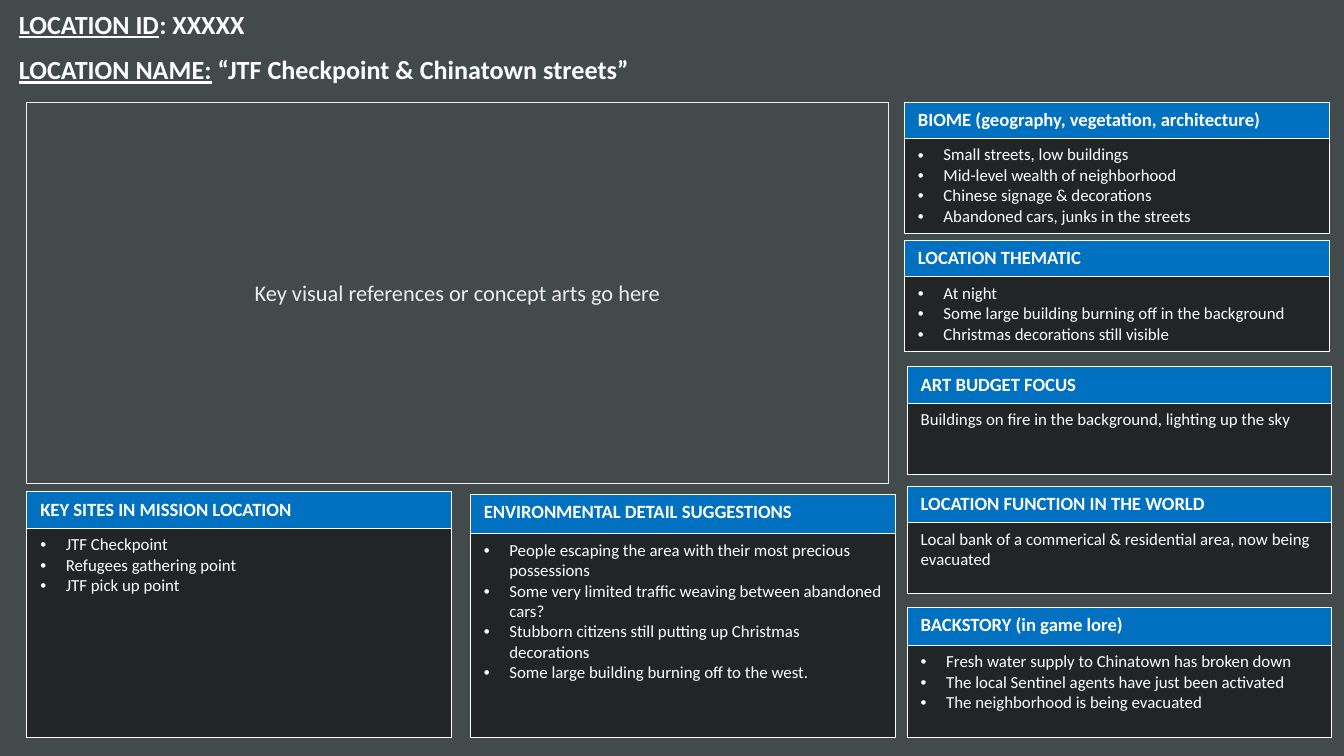
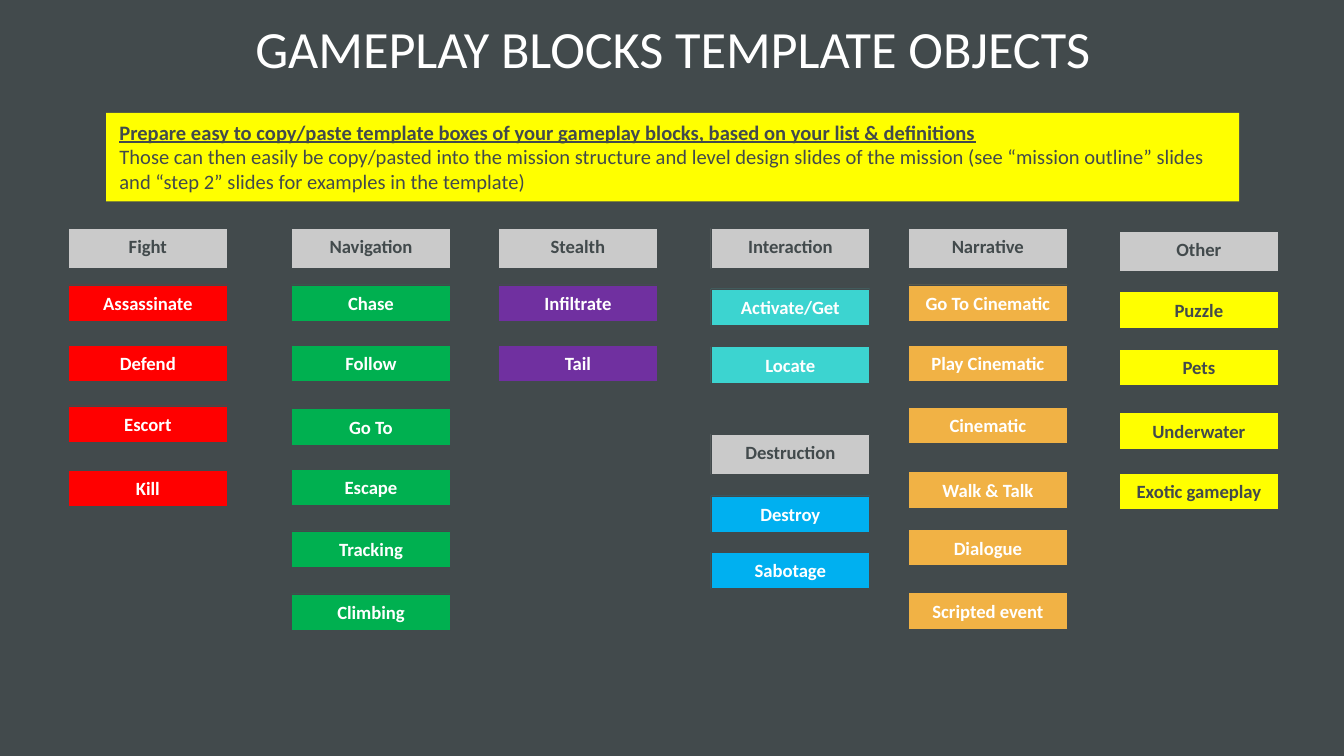
"""Builds a mission location sheet and a palette of gameplay blocks."""
from lxml.etree import SubElement
from pptx import Presentation
from pptx.dml.color import RGBColor
from pptx.enum.shapes import MSO_SHAPE
from pptx.enum.text import MSO_ANCHOR, MSO_AUTO_SIZE, PP_ALIGN
from pptx.oxml.ns import qn
from pptx.util import Inches, Pt

FONT = "Calibri"
NO_GRID_STYLE = "{2D5ABB26-0587-4C30-8999-92F81FD0307C}"
SLATE = RGBColor(0x42, 0x4A, 0x4C)
WHITE = RGBColor(0xFF, 0xFF, 0xFF)
PALE = RGBColor(0xEE, 0xEE, 0xEE)
BLUE = RGBColor(0x00, 0x70, 0xC0)
CHARCOAL = RGBColor(0x21, 0x25, 0x26)
GREY = RGBColor(0xCA, 0xCA, 0xCA)
RED = RGBColor(0xFF, 0x00, 0x00)
GREEN = RGBColor(0x00, 0xB0, 0x50)
PURPLE = RGBColor(0x70, 0x30, 0xA0)
TEAL = RGBColor(0x3C, 0xD4, 0xD0)
SKY = RGBColor(0x00, 0xB0, 0xF0)
AMBER = RGBColor(0xF1, 0xB2, 0x45)
YELLOW = RGBColor(0xFF, 0xFF, 0x00)


def style(paragraph, size, colour, bold=False):
    for run in paragraph.runs:
        run.font.name, run.font.size = FONT, Pt(size)
        run.font.color.rgb, run.font.bold = colour, bold


def add_box(slide, place, lines, size, colour, bold=False, fill=None, line=None, weight=0.25):
    box = slide.shapes.add_shape(MSO_SHAPE.RECTANGLE, *map(Inches, place))
    box.shadow.inherit = False
    if fill is None:
        box.fill.background()
    else:
        box.fill.solid()
        box.fill.fore_color.rgb = fill
    if line is None:
        box.line.fill.background()
    else:
        box.line.color.rgb, box.line.width = line, Pt(weight)
    frame = box.text_frame
    frame.word_wrap = True
    frame.text = "\n".join(lines)
    for paragraph in frame.paragraphs:
        paragraph.alignment = PP_ALIGN.CENTER
        style(paragraph, size, colour, bold)
    return frame


prs = Presentation()
prs.slide_width = Inches(10)
prs.slide_height = prs.slide_width * 9 // 16
location, palette = [prs.slides.add_slide(prs.slide_layouts[6]) for _ in range(2)]
for slide in (location, palette):
    slide.background.fill.solid()
    slide.background.fill.fore_color.rgb = SLATE

add_box(location, (0.2, 0.76, 6.41, 2.84), ["Key visual references or concept arts go here"],
        12, PALE, line=PALE, weight=0.5)

cards = [
    (6.73, 0.76, 0.97, 0.2, 0.67, "BIOME (geography, vegetation, architecture)", True,
     ["Small streets, low buildings", "Mid-level wealth of neighborhood",
      "Chinese signage & decorations", "Abandoned cars, junks in the streets"]),
    (6.73, 1.79, 0.82, 0.2, 0.51, "LOCATION THEMATIC", True,
     ["At night", "Some large building burning off in the background",
      "Christmas decorations still visible"]),
    (6.75, 2.73, 0.8, 0.2, 0.53, "ART BUDGET FOCUS", False,
     ["Buildings on fire in the background, lighting up the sky"]),
    (6.75, 3.62, 0.8, 0.2, 0.53, "LOCATION FUNCTION IN THE WORLD", False,
     ["Local bank of a commerical & residential area, now being evacuated"]),
    (0.2, 3.66, 1.82, 0.22, 1.56, "KEY SITES IN MISSION LOCATION", True,
     ["JTF Checkpoint", "Refugees gathering point", "JTF pick up point"]),
    (6.75, 4.52, 0.97, 0.28, 0.69, "BACKSTORY (in game lore)", True,
     ["Fresh water supply to Chinatown has broken down",
      "The local Sentinel agents have just been activated",
      "The neighborhood is being evacuated"]),
    (3.5, 3.68, 1.81, 0.29, 1.52, "ENVIRONMENTAL DETAIL SUGGESTIONS", True,
     ["People escaping the area with their most precious possessions",
      "Some very limited traffic weaving between abandoned cars?",
      "Stubborn citizens still putting up Christmas decorations",
      "Some large building burning off to the west."]),
]
for left, top, height, head_height, body_height, heading, bulleted, details in cards:
    card = location.shapes.add_table(2, 1, Inches(left), Inches(top), Inches(3.16), Inches(height))
    rows = card.table.rows
    rows[0].height, rows[1].height = Inches(head_height), Inches(body_height)
    card.height = Inches(height)
    head, body = card.table.cell(0, 0), card.table.cell(1, 0)
    head.text, body.text = heading, "\n".join(details)
    if bulleted:
        for paragraph in body.text_frame.paragraphs:
            props = paragraph._p.get_or_add_pPr()
            props.set("marL", str(Inches(0.19)))
            props.set("indent", str(-Inches(0.19)))
            SubElement(props, qn("a:buFont")).set("typeface", "Arial")
            SubElement(props, qn("a:buChar")).set("char", "•")
    for cell, fill, size, bold in ((head, BLUE, 10, True), (body, CHARCOAL, 9, False)):
        cell.fill.solid()
        cell.fill.fore_color.rgb = fill
        for paragraph in cell.text_frame.paragraphs:
            style(paragraph, size, WHITE, bold)
        cell_props = cell._tc.get_or_add_tcPr()
        for position, side in enumerate(("lnL", "lnR", "lnT", "lnB")):
            border = SubElement(cell_props, qn(f"a:{side}"), w=str(Pt(0.5)))
            SubElement(SubElement(border, qn("a:solidFill")), qn("a:srgbClr")).set("val", str(WHITE))
            cell_props.insert(position, border)

identity = location.shapes.add_table(2, 1, Inches(0.04), Inches(0.02), Inches(7.01), Inches(0.67))
identity.table.rows[0].height, identity.table.rows[1].height = Inches(0.23), Inches(0.29)
identity.height = Inches(0.67)
for row, (label, value) in enumerate([
        ("LOCATION ID", ": XXXXX"),
        ("LOCATION NAME:", " “JTF Checkpoint & Chinatown streets”")]):
    cell = identity.table.cell(row, 0)
    cell.fill.background()
    paragraph = cell.text_frame.paragraphs[0]
    for text, underlined in ((label, True), (value, False)):
        run = paragraph.add_run()
        run.text, run.font.underline = text, underlined
    style(paragraph, 14, WHITE, True)

for shape in location.shapes:
    if shape.has_table:
        shape.table.first_row = shape.table.horz_banding = False
        shape.table._tbl.tblPr.find(qn("a:tableStyleId")).text = NO_GRID_STYLE

title = palette.shapes.add_textbox(Inches(0.2), Inches(0.14), Inches(9.61), Inches(0.43)).text_frame
title.word_wrap = True
title.vertical_anchor = MSO_ANCHOR.MIDDLE
title.text = "GAMEPLAY BLOCKS TEMPLATE OBJECTS"
title.paragraphs[0].alignment = PP_ALIGN.CENTER
style(title.paragraphs[0], 28, WHITE)

advice = add_box(palette, (0.79, 0.84, 8.43, 0.66), [
    "Prepare easy to copy/paste template boxes of your gameplay blocks, "
    "based on your list & definitions",
    "Those can then easily be copy/pasted into the mission structure and level design slides "
    "of the mission (see “mission outline” slides and “step 2” slides for examples in the template)",
], 11, SLATE, fill=YELLOW)
advice.vertical_anchor = MSO_ANCHOR.TOP
advice.auto_size = MSO_AUTO_SIZE.SHAPE_TO_FIT_TEXT
for paragraph in advice.paragraphs:
    paragraph.alignment = PP_ALIGN.LEFT
lead = advice.paragraphs[0].runs[0].font
lead.bold = lead.underline = True

families = [
    ("Fight", 0.51, 1.7, RED, WHITE,
     {"Assassinate": 2.12, "Defend": 2.57, "Escort": 3.02, "Kill": 3.5}),
    ("Navigation", 2.17, 1.7, GREEN, WHITE,
     {"Chase": 2.12, "Follow": 2.57, "Go To": 3.04, "Escape": 3.49,
      "Tracking": 3.95, "Climbing": 4.42}),
    ("Stealth", 3.71, 1.7, PURPLE, WHITE, {"Infiltrate": 2.12, "Tail": 2.57}),
    ("Interaction", 5.29, 1.7, TEAL, WHITE, {"Activate/Get": 2.15, "Locate": 2.58}),
    ("Destruction", 5.29, 3.23, SKY, WHITE, {"Destroy": 3.69, "Sabotage": 4.11}),
    ("Narrative", 6.76, 1.7, AMBER, WHITE,
     {"Go To Cinematic": 2.12, "Play Cinematic": 2.57, "Cinematic": 3.03,
      "Walk & Talk": 3.51, "Dialogue": 3.94, "Scripted event": 4.41}),
    ("Other", 8.33, 1.72, YELLOW, SLATE,
     {"Puzzle": 2.17, "Pets": 2.6, "Underwater": 3.07, "Exotic gameplay": 3.52}),
]
for family, left, head_top, fill, colour, blocks in families:
    heading = add_box(palette, (left, head_top, 1.18, 0.3), [family], 10, SLATE, True, GREY, SLATE, 0.5)
    heading.vertical_anchor = MSO_ANCHOR.TOP
    for block, top in blocks.items():
        label = add_box(palette, (left, top, 1.18, 0.27), [block], 10, colour, True, fill, SLATE)
        label.auto_size = MSO_AUTO_SIZE.SHAPE_TO_FIT_TEXT

prs.save("out.pptx")
